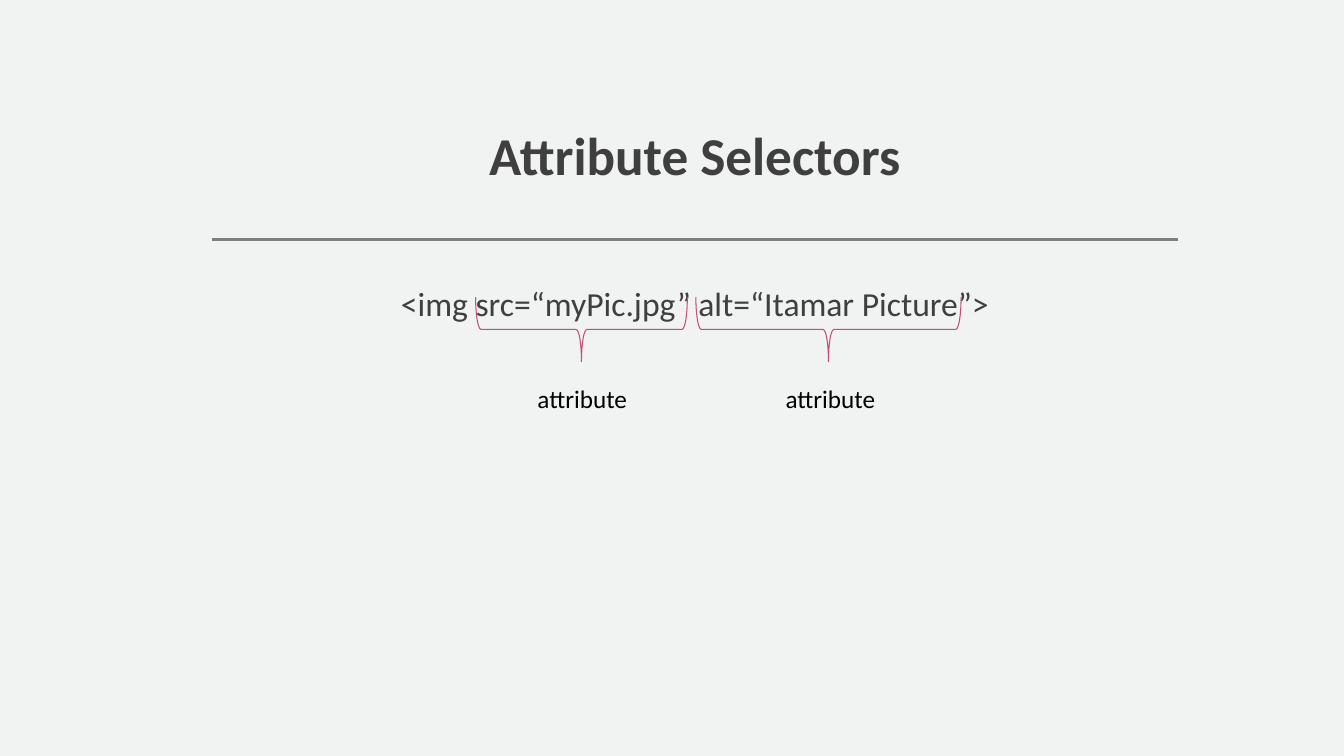
from dataclasses import dataclass

from lxml.etree import SubElement
from pptx import Presentation
from pptx.dml.color import RGBColor
from pptx.enum.shapes import MSO_CONNECTOR, MSO_SHAPE
from pptx.enum.text import MSO_ANCHOR, PP_ALIGN
from pptx.oxml.ns import qn
from pptx.util import Pt


@dataclass(frozen=True)
class Theme:
    font: str = "Calibri"
    back: str = "F0F3F2"
    text: str = "3F3F3F"
    label: str = "000000"
    rule: str = "7F7F7F"
    brace: str = "C34D77"
    title_size: float = 38
    code_size: float = 24
    label_size: float = 18


class Page:
    def __init__(self, slide, theme):
        self.slide = slide
        self.theme = theme
        fill = slide.background.fill
        fill.solid()
        fill.fore_color.rgb = RGBColor.from_string(theme.back)

    def text(self, box, words, size, color, align=PP_ALIGN.CENTER, bold=False,
             anchor=MSO_ANCHOR.TOP, pad=(8.64, 8.64, 8.64, 7.2), gap=1.0):
        """Pad is left, top, right, bottom; gap is the line spacing."""
        frame = self.slide.shapes.add_textbox(*map(Pt, box)).text_frame
        frame.word_wrap = True
        frame.vertical_anchor = anchor
        (frame.margin_left, frame.margin_top,
         frame.margin_right, frame.margin_bottom) = map(Pt, pad)
        para = frame.paragraphs[0]
        para.alignment = align
        para.line_spacing = gap
        run = para.add_run()
        run.text = words
        font = run.font
        font.name = self.theme.font
        font.size = Pt(size)
        font.bold = bold
        font.color.rgb = RGBColor.from_string(color)

    def rule(self, left, right, y):
        line = self.slide.shapes.add_connector(
            MSO_CONNECTOR.STRAIGHT, Pt(left), Pt(y), Pt(right), Pt(y))
        line.line.color.rgb = RGBColor.from_string(self.theme.rule)
        line.line.width = Pt(2)
        SubElement(line._element.spPr, qn("a:effectLst"))

    def brace(self, mid, y, span, depth):
        """Draw a brace that opens upward, centred on (mid, y)."""
        shape = self.slide.shapes.add_shape(
            MSO_SHAPE.LEFT_BRACE, Pt(mid - depth / 2), Pt(y - span / 2),
            Pt(depth), Pt(span))
        shape.rotation = 270
        shape.adjustments[0] = 0.083
        shape.adjustments[1] = 0.5
        shape.shadow.inherit = False
        shape.fill.background()
        shape.line.color.rgb = RGBColor.from_string(self.theme.brace)
        shape.line.width = Pt(0.75)


def main():
    deck = Presentation()
    deck.slide_width, deck.slide_height = Pt(960), Pt(540)
    theme = Theme()
    page = Page(deck.slides.add_slide(deck.slide_layouts[6]), theme)
    left, width = 151.2, 690.5

    page.rule(left, left + width, 171.2)
    page.text((left, 34.6, width, 105.8), "Attribute Selectors",
              theme.title_size, theme.text, bold=True,
              anchor=MSO_ANCHOR.BOTTOM, gap=1.3)
    page.text((left, 182.2, width, 287.3),
              "<img src=“myPic.jpg” alt=“Itamar Picture”>",
              theme.code_size, theme.text, gap=1.4)

    # Brace centre, brace span, label left, label width
    marks = [(415.4, 151.2, 375.8, 79.2), (591.8, 189.4, 532.8, 99.4)]
    for mid, span, start, wide in marks:
        page.brace(mid, 235.3, span, 46.1)
        page.text((start, 270, wide, 28.8), "attribute", theme.label_size,
                  theme.label, align=PP_ALIGN.RIGHT, pad=(7.2, 3.6, 7.2, 3.6))

    deck.save("out.pptx")


if __name__ == "__main__":
    main()
